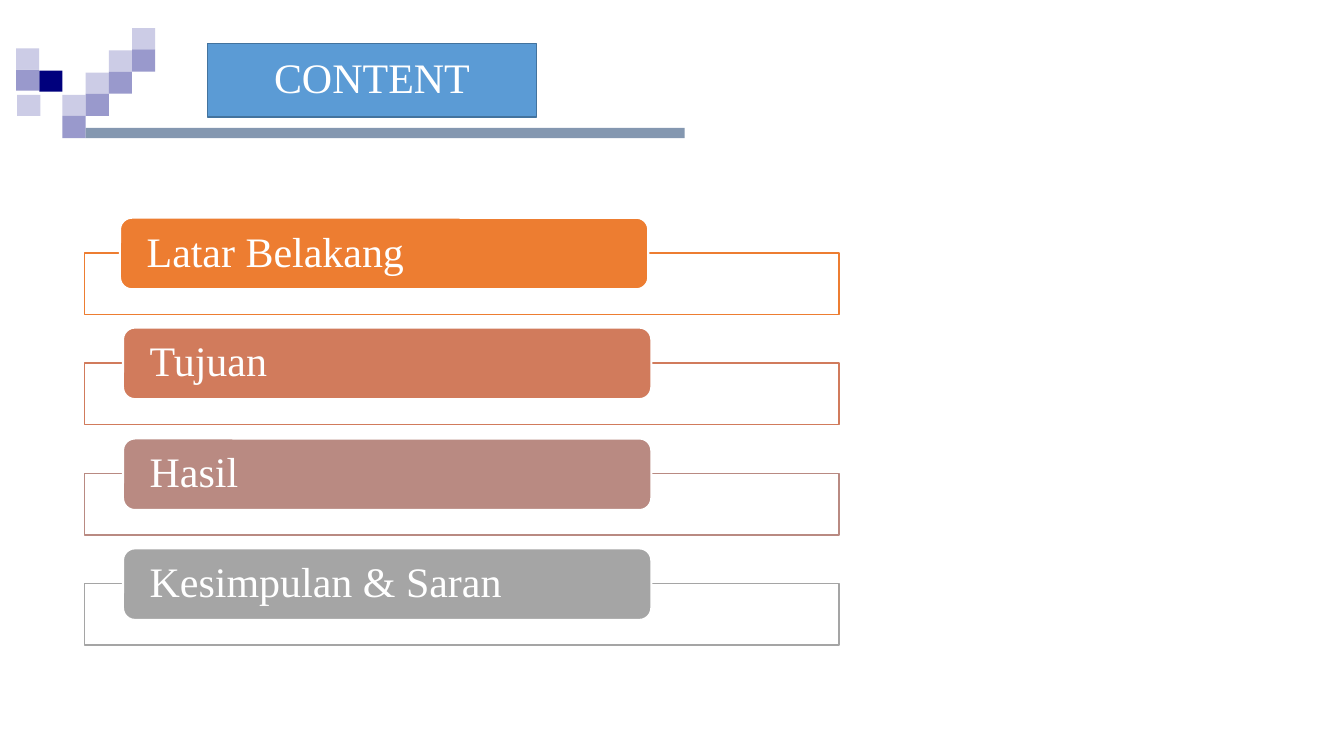
from lxml import etree
from pptx import Presentation
from pptx import util as u
from pptx.dml.color import RGBColor
from pptx.enum import shapes, text
from pptx.oxml.ns import qn

PX = 9144  # EMU: 100 px to the inch
LIGHT, MID, NAVY = "CCCCE6", "9999CC", "00007D"
SQUARE = 23
TOPICS = [
    ("Latar Belakang", "ED7D31", 119),
    ("Tujuan", "D17B5C", 122),
    ("Hasil", "B98A82", 122),
    ("Kesimpulan & Saran", "A5A5A5", 122),
]


def color(value):
    return RGBColor.from_string(value)


class SlideBuilder:
    font = "Times New Roman"
    size = 30
    ink = "FFFFFF"

    def __init__(self, page):
        self.page = page

    def paint(self, box, fill, line=None, weight=1.0):
        box.fill.solid()
        box.fill.fore_color.rgb = color(fill)
        if line:
            box.line.color.rgb = color(line)
            box.line.width = u.Pt(weight)
        else:
            box.line.fill.background()

    def set_text(self, box, words, align, inset):
        frame = box.text_frame
        frame.text = words
        frame.word_wrap = True
        frame.auto_size = text.MSO_AUTO_SIZE.NONE
        frame.vertical_anchor = text.MSO_ANCHOR.MIDDLE
        frame.margin_left = frame.margin_right = inset * PX
        frame.margin_top = frame.margin_bottom = 0
        para = frame.paragraphs[0]
        para.alignment = align
        para.line_spacing = 0.9
        font = para.runs[0].font
        font.name, font.size = self.font, u.Pt(self.size)
        font.color.rgb = color(self.ink)

    def title(self, words, left, top, width, height, fill, line):
        box = self.page.shapes.title
        box.left, box.top = left * PX, top * PX
        box.width, box.height = width * PX, height * PX
        self.paint(box, fill, line)
        self.set_text(box, words, text.PP_ALIGN.CENTER, 10)

    def block(self, left, top, width, height, fill, line=None, weight=1.0,
              kind=shapes.MSO_SHAPE.RECTANGLE):
        box = self.page.shapes.add_shape(
            kind, left * PX, top * PX, width * PX, height * PX)
        box.shadow.inherit = False
        self.paint(box, fill, line, weight)
        return box

    def frame(self, left, top, width, height, line):
        """Draw an outlined rectangle with a 90% opaque white fill."""
        box = self.block(left, top, width, height, "FFFFFF", line)
        white = box._element.spPr.find(qn("a:solidFill"))[0]
        etree.SubElement(white, qn("a:alpha")).set("val", "90000")

    def label(self, words, left, top, width, height, fill):
        box = self.block(left, top, width, height, fill, "FFFFFF", 1.5,
                         shapes.MSO_SHAPE.ROUNDED_RECTANGLE)
        self.set_text(box, words, text.PP_ALIGN.LEFT, 23)


def main():
    deck = Presentation()
    deck.slide_width, deck.slide_height = 1333 * PX, 750 * PX
    builder = SlideBuilder(deck.slides.add_slide(deck.slide_layouts[5]))

    # Staircase of square pairs, rising to the right
    for step in range(4):
        left = 62 + SQUARE * step
        builder.block(left, 94 - 22 * step, SQUARE, 21, LIGHT)
        builder.block(left, 115 - 22 * step, SQUARE, 22, MID)
    for left, top, fill in [(16, 48, LIGHT), (16, 69, MID),
                            (17, 94, LIGHT), (39, 70, NAVY)]:
        builder.block(left, top, SQUARE, 21, fill)
    builder.block(85, 127, 594, 10, "8497B0")

    builder.title("CONTENT", 206, 43, 326, 73, "5B9BD5", "43739E")

    for index, (words, fill, left) in enumerate(TOPICS):
        top = 216 + 219 * index // 2
        builder.frame(84, top + 35, 748, 61, fill)
        builder.label(words, left, top, 524, 71, fill)

    deck.save("out.pptx")


if __name__ == "__main__":
    main()
